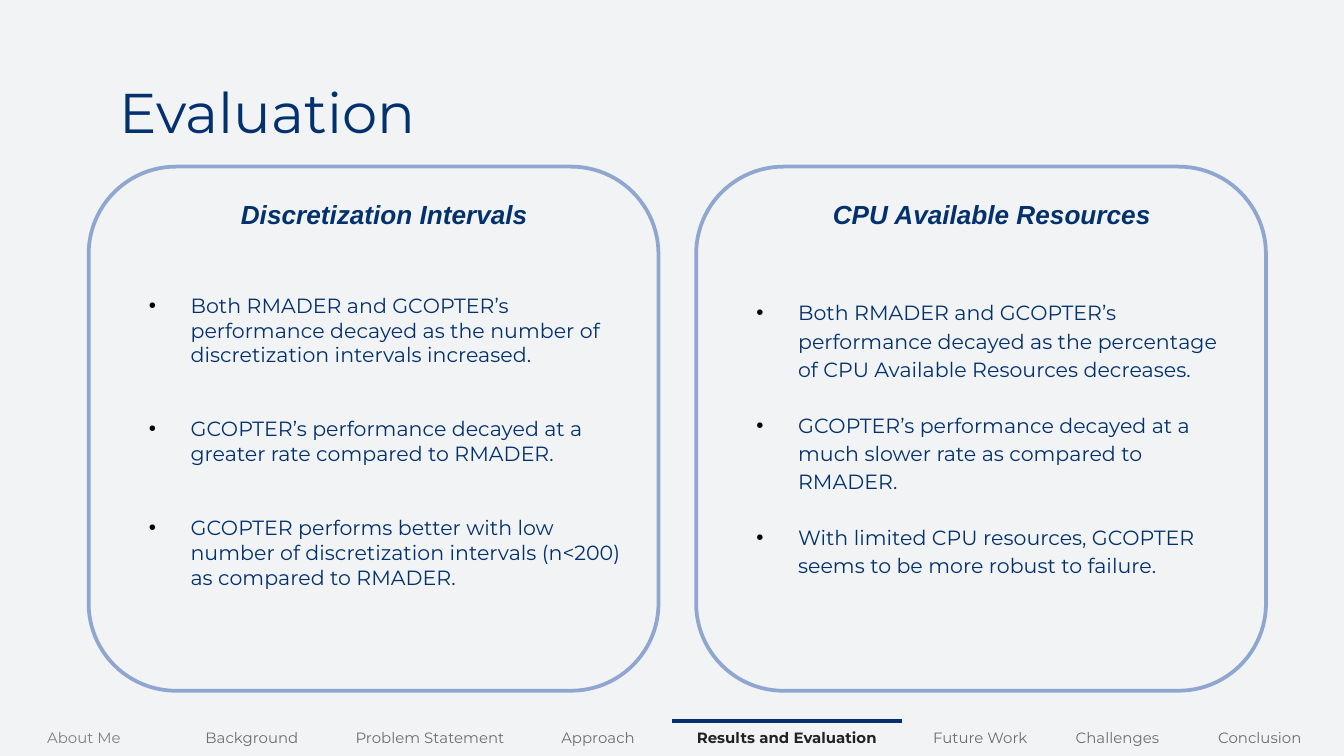
import pptx
import pptx.dml.color
import pptx.enum.shapes
import pptx.enum.text
import pptx.oxml.ns
import pptx.util
from lxml import etree

Inches, Pt = pptx.util.Inches, pptx.util.Pt
RGBColor = pptx.dml.color.RGBColor
Align, Anchor = pptx.enum.text.PP_ALIGN, pptx.enum.text.MSO_ANCHOR
qn = pptx.oxml.ns.qn

BACKGROUND = RGBColor(0xF1, 0xF3, 0xF5)
NAVY = RGBColor(0x03, 0x31, 0x6E)
PANEL_LINE = RGBColor(0x8F, 0xA7, 0xD0)
NAV_FIRST = RGBColor(0x80, 0x80, 0x80)
NAV_GRAY = RGBColor(0x6E, 0x6E, 0x6E)
NAV_CURRENT = RGBColor(0x22, 0x22, 0x22)

WIDTH = 10
HEIGHT = WIDTH * 9 / 16
PANEL_LEFT, PANEL_TOP, PANEL_STEP = 0.66, 1.24, 4.52
PANEL_WIDTH, PANEL_HEIGHT = 4.24, 3.9
NAV_HEIGHT = 0.26
NO_STYLE_NO_GRID = "{2D5ABB26-0587-4C30-8999-92F81FD0307C}"

# Section name and column width
SECTIONS = [
    ("About Me", 1.25), ("Background", 1.25), ("Problem Statement", 1.4),
    ("Approach", 1.1), ("Results and Evaluation", 1.71),
    ("Future Work", 1.17), ("Challenges", 0.87), ("Conclusion", 1.25),
]
CURRENT = 4

PANELS = [
    dict(
        heading="Discretization Intervals",
        points=[
            "Both RMADER and GCOPTER’s performance decayed as the number of "
            "discretization intervals increased.",
            "GCOPTER’s performance decayed at a greater rate compared to RMADER.",
            "GCOPTER performs better with low number of discretization intervals "
            "(n<200) as compared to RMADER.",
        ],
        inset=0.75, gap=26.5, spacing=1.0,
    ),
    dict(
        heading="CPU Available Resources",
        points=[
            "Both RMADER and GCOPTER’s performance decayed as the percentage "
            "of CPU Available Resources decreases.",
            "GCOPTER’s performance decayed at a much slower rate as compared to RMADER.",
            "With limited CPU resources, GCOPTER seems to be more robust to failure.",
        ],
        inset=0.78, gap=15, spacing=1.14,
    ),
]


def write(paragraph, text, size=11, color=NAVY, font="Montserrat",
          bold=False, italic=False, align=Align.LEFT):
    paragraph.alignment = align
    run = paragraph.add_run()
    run.text = text
    run.font.size, run.font.name = Pt(size), font
    run.font.bold, run.font.italic = bold, italic
    run.font.color.rgb = color


def add_label(slide, box, text, inset=0.05, **style):
    frame = slide.shapes.add_textbox(*map(Inches, box)).text_frame
    frame.word_wrap = True
    frame.margin_top = frame.margin_bottom = Inches(inset)
    write(frame.paragraphs[0], text, **style)


def add_bullet(paragraph):
    props = paragraph._p.get_or_add_pPr()
    props.set("marL", str(Inches(0.47)))
    props.set("indent", str(Inches(-0.31)))
    color = etree.SubElement(props, qn("a:buClr"))
    etree.SubElement(color, qn("a:srgbClr"), val="000000")
    etree.SubElement(props, qn("a:buFont"), typeface="Arial")
    etree.SubElement(props, qn("a:buChar"), char="•")


def add_panel(slide, box, heading, points, inset, gap, spacing):
    left, top, width, _ = box
    panel = slide.shapes.add_shape(
        pptx.enum.shapes.MSO_SHAPE.ROUNDED_RECTANGLE, *map(Inches, box))
    panel.shadow.inherit = False
    panel.fill.background()
    panel.line.color.rgb = PANEL_LINE
    panel.line.width = Pt(2)

    # Bulleted findings
    frame = panel.text_frame
    frame.word_wrap = True
    frame.vertical_anchor = Anchor.TOP
    frame.margin_top, frame.margin_right = Inches(inset), Inches(0.05)
    for index, point in enumerate(points):
        paragraph = frame.paragraphs[0] if index == 0 else frame.add_paragraph()
        add_bullet(paragraph)
        paragraph.line_spacing = spacing
        if index:
            paragraph.space_before = Pt(gap)
        write(paragraph, point)

    # Heading
    add_label(slide, (left + 0.35, top + 0.19, width - 0.54, 0.34), heading,
              size=14, font="Arial", bold=True, italic=True, align=Align.CENTER)


def add_navigation(slide, box):
    left, top = box[:2]
    table = slide.shapes.add_table(1, len(SECTIONS), *map(Inches, box)).table
    table._tbl.tblPr.find(qn("a:tableStyleId")).text = NO_STYLE_NO_GRID
    for index, (section, width) in enumerate(SECTIONS):
        table.columns[index].width = Inches(width)
        cell = table.cell(0, index)
        cell.fill.background()
        cell.vertical_anchor = Anchor.MIDDLE
        color = {0: NAV_FIRST, CURRENT: NAV_CURRENT}.get(index, NAV_GRAY)
        write(cell.text_frame.paragraphs[0], section, size=8, color=color,
              bold=index == CURRENT, align=Align.CENTER)

    # Marker above the current section
    start = left + sum(width for _, width in SECTIONS[:CURRENT])
    end = start + SECTIONS[CURRENT][1]
    marker = slide.shapes.add_connector(
        pptx.enum.shapes.MSO_CONNECTOR.STRAIGHT,
        *map(Inches, (start, top, end, top)))
    marker.line.color.rgb = NAVY
    marker.line.width = Pt(2.25)
    etree.SubElement(marker._element.spPr, qn("a:effectLst"))


def main():
    deck = pptx.Presentation()
    deck.slide_width, deck.slide_height = Inches(WIDTH), Inches(HEIGHT)
    slide = deck.slides.add_slide(deck.slide_layouts[6])
    slide.background.fill.solid()
    slide.background.fill.fore_color.rgb = BACKGROUND

    add_navigation(slide, (0, HEIGHT - NAV_HEIGHT, WIDTH, NAV_HEIGHT))
    add_label(slide, (0.79, 0.48, 8.43, 0.63), "Evaluation", size=30, inset=0.1)
    for index, panel in enumerate(PANELS):
        left = PANEL_LEFT + index * PANEL_STEP
        add_panel(slide, (left, PANEL_TOP, PANEL_WIDTH, PANEL_HEIGHT), **panel)

    deck.save("out.pptx")


if __name__ == "__main__":
    main()
